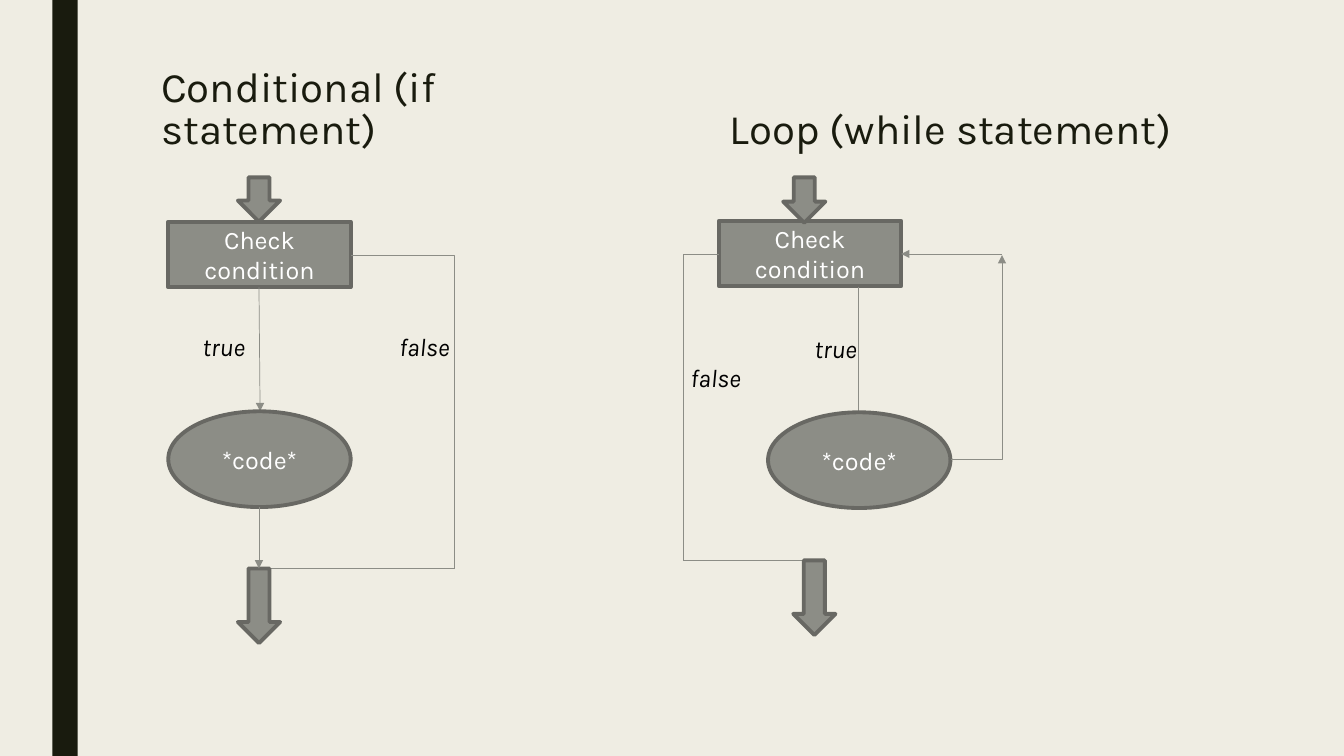
from lxml import etree
from pptx import Presentation
from pptx.dml.color import RGBColor
from pptx.enum import shapes, text
from pptx.oxml.ns import qn
from pptx.util import Pt

HUES = {"paper": "EFEDE3", "dark": "191B0E", "gray": "8C8D86",
        "edge": "686863", "white": "FFFFFF", "black": "000000"}
FORM = shapes.MSO_SHAPE
LINK = shapes.MSO_CONNECTOR


def hue(name):
    return RGBColor.from_string(HUES[name])


class Chart:
    """Holds the style and the current slide."""
    font, size, head = "Karla", 18, 30
    wide, high = 130.3, 46.8   # condition box
    oval = 68.4                # height of the code ellipse
    stem = 30.2                # width of a block arrow

    def __init__(self, slide):
        self.slide = slide
        slide.background.fill.solid()
        slide.background.fill.fore_color.rgb = hue("paper")

    def letter(self, frame, words, size, color, align, italic=False):
        frame.text = words
        frame.word_wrap = True
        para = frame.paragraphs[0]
        para.alignment = align
        font = para.runs[0].font
        font.name, font.size = self.font, Pt(size)
        font.bold, font.italic = False, italic
        font.color.rgb = hue(color)
        return para

    def title(self, holder, words, left):
        holder.left, holder.top = Pt(left), Pt(48.2)
        holder.width, holder.height = Pt(350), Pt(64.8)
        frame = holder.text_frame
        para = self.letter(frame, words, self.head, "dark", text.PP_ALIGN.LEFT)
        para.line_spacing = 0.84
        para.space_before = Pt(0)
        frame.vertical_anchor = text.MSO_ANCHOR.BOTTOM
        frame.auto_size = text.MSO_AUTO_SIZE.NONE

    def shape(self, form, left, top, wide, high, words="", fill="gray", edge="edge"):
        item = self.slide.shapes.add_shape(form, Pt(left), Pt(top), Pt(wide), Pt(high))
        item.shadow.inherit = False
        item.fill.solid()
        item.fill.fore_color.rgb = hue(fill)
        if edge:
            item.line.color.rgb = hue(edge)
            item.line.width = Pt(2.75)
        else:
            item.line.fill.background()
        if words:
            self.letter(item.text_frame, words, self.size, "white", text.PP_ALIGN.CENTER)
            item.text_frame.vertical_anchor = text.MSO_ANCHOR.MIDDLE

    def box(self, left, top):
        self.shape(FORM.RECTANGLE, left, top, self.wide, self.high, "Check condition")

    def code(self, left, top):
        self.shape(FORM.OVAL, left, top, self.wide, self.oval, "*code*")

    def arrow(self, left, top, high):
        self.shape(FORM.DOWN_ARROW, left, top, self.stem, high)

    def line(self, start, end, tip=False, bent=False):
        kind = LINK.ELBOW if bent else LINK.STRAIGHT
        item = self.slide.shapes.add_connector(kind, *map(Pt, start + end))
        item.line.color.rgb = hue("gray")
        item.line.width = Pt(0.5)
        props = item._element.spPr
        if bent:  # one corner: across, then up or down
            props.find(qn("a:prstGeom")).set("prst", "bentConnector2")
        if tip:
            etree.SubElement(props.find(qn("a:ln")), qn("a:tailEnd"), type="triangle")
        etree.SubElement(props, qn("a:effectLst"))

    def label(self, words, left, top, wide):
        item = self.slide.shapes.add_textbox(Pt(left), Pt(top), Pt(wide), Pt(28.8))
        self.letter(item.text_frame, words, self.size, "black", text.PP_ALIGN.LEFT, True)


def main():
    deck = Presentation()
    deck.slide_width, deck.slide_height = Pt(960), Pt(540)
    slide = deck.slides.add_slide(deck.slide_layouts.get_by_name("Comparison"))
    art = Chart(slide)

    # Side bar
    art.shape(FORM.RECTANGLE, 37.4, 0, 18, 540, fill="dark", edge=None)

    # Headings, then drop the unused placeholders
    heads = {1: ("Conditional (if statement)", 108), 3: ("Loop (while statement)", 514.1)}
    for holder in list(slide.placeholders):
        if holder.placeholder_format.idx in heads:
            art.title(holder, *heads[holder.placeholder_format.idx])
        else:
            holder._element.getparent().remove(holder._element)

    # Conditional flow
    art.box(120.2, 158.4)
    art.line((250.6, 182.2), (324.7, 406.1), bent=True)
    art.line((324.7, 406.1), (191.5, 406.1))
    art.line((185, 205.2), (185.8, 293.8), tip=True)
    art.code(120.2, 293.8)
    art.arrow(169.9, 126.7, 31.7)
    art.arrow(169.9, 406.1, 53.3)
    art.line((185, 362.2), (185, 406.1), tip=True)
    art.label("true", 137.5, 233.3, 64.8)
    art.label("false", 278, 233.3, 63.4)

    # Loop flow
    art.box(513.4, 157.7)
    art.arrow(559.4, 126.7, 32.4)
    art.line((613.4, 205.2), (613.4, 293.8))
    art.code(548.6, 294.5)
    art.line((679, 328.3), (715.7, 182.2), tip=True, bent=True)
    art.line((715.7, 181.4), (643.7, 181.4), tip=True)
    art.line((513.4, 181.4), (488.2, 400.3), bent=True)
    art.line((488.2, 400.3), (581.8, 400.3))
    art.arrow(566.6, 400.3, 53.3)
    art.label("true", 574.6, 234.7, 51.8)
    art.label("false", 486, 255.6, 66.2)

    deck.save("out.pptx")


if __name__ == "__main__":
    main()
